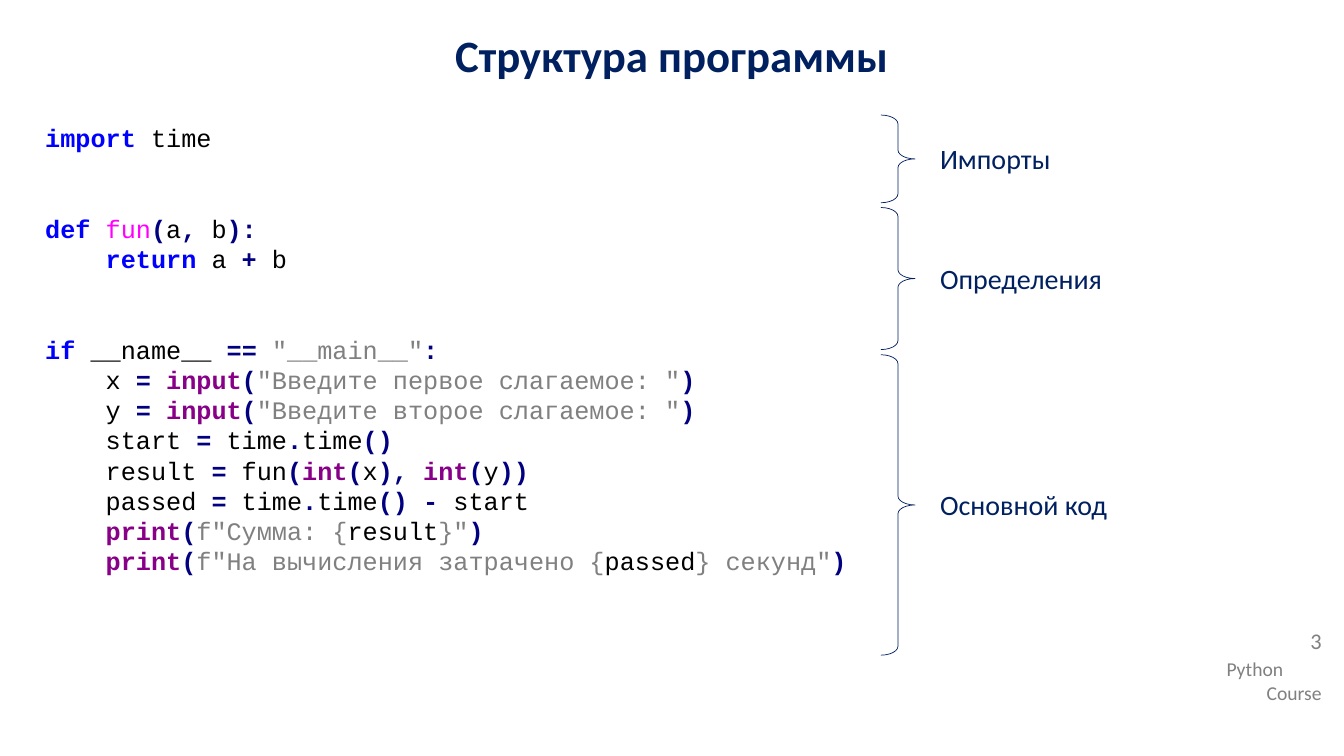
import pptx
import pptx.dml.color
import pptx.enum.shapes
import pptx.enum.text
import pptx.util
from pptx.util import Cm, Pt

COLORS = {
    "navy": "002060",
    "gray": "808080",
    "keyword": "0000FF",
    "function": "FF00FF",
    "builtin": "880088",
    "operator": "000080",
    "string": "808080",
    "plain": "000000",
}
BOLD_TOKENS = {"keyword", "builtin", "operator"}
ALIGN = pptx.enum.text.PP_ALIGN
CODE_SIZE = 18
LINE_HEIGHT = 21.6
INDENT = Pt(4 * 0.6 * CODE_SIZE)  # four monospaced characters


def rgb(name):
    return pptx.dml.color.RGBColor.from_string(COLORS[name])


def add_text(slide, box, lines, size, color, bold=False):
    """Add a text box; box is in centimetres, lines are (text, alignment) pairs."""
    shape = slide.shapes.add_textbox(*(Cm(length) for length in box))
    frame = shape.text_frame
    frame.word_wrap = True
    for index, (text, alignment) in enumerate(lines):
        paragraph = frame.add_paragraph() if index else frame.paragraphs[0]
        paragraph.alignment = alignment
        paragraph.add_run().text = text
        paragraph.font.name = "Calibri"
        paragraph.font.size = Pt(size)
        paragraph.font.bold = bold
        paragraph.font.color.rgb = rgb(color)
    return shape


presentation = pptx.Presentation()
presentation.slide_width = Cm(33.87)
presentation.slide_height = Cm(19.05)
slide = presentation.slides.add_slide(presentation.slide_layouts[6])

# Footer and title
add_text(slide, (30.66, 16.43, 2.9, 1.45),
         [("Python", ALIGN.LEFT), ("Course", ALIGN.RIGHT)], 14, "gray")
page_number = add_text(slide, (30.66, 15.75, 2.9, 1.14), [("3", ALIGN.RIGHT)], 16, "gray")
page_number.text_frame.paragraphs[0].line_spacing = 0.9
add_text(slide, (0, 0.58, 33.87, 1.93),
         [("Структура программы", ALIGN.CENTER)], 32, "navy", bold=True)

# Code listing: blank lines before, indent level, coloured tokens
code_lines = [
    (0, 0, [("keyword", "import"), ("plain", " time")]),
    (2, 0, [("keyword", "def "), ("function", "fun"), ("operator", "("), ("plain", "a"),
            ("operator", ","), ("plain", " b"), ("operator", "):")]),
    (0, 1, [("keyword", "return"), ("plain", " a "), ("operator", "+"), ("plain", " b")]),
    (2, 0, [("keyword", "if"), ("plain", " __name__ "), ("operator", "== "),
            ("string", '"__main__"'), ("operator", ":")]),
    (0, 1, [("plain", "x "), ("operator", "= "), ("builtin", "input"), ("operator", "("),
            ("string", '"Введите первое слагаемое: "'), ("operator", ")")]),
    (0, 1, [("plain", "y "), ("operator", "= "), ("builtin", "input"), ("operator", "("),
            ("string", '"Введите второе слагаемое: "'), ("operator", ")")]),
    (0, 1, [("plain", "start "), ("operator", "="), ("plain", " time"), ("operator", "."),
            ("plain", "time"), ("operator", "()")]),
    (0, 1, [("plain", "result "), ("operator", "="), ("plain", " fun"), ("operator", "("),
            ("builtin", "int"), ("operator", "("), ("plain", "x"), ("operator", "), "),
            ("builtin", "int"), ("operator", "("), ("plain", "y"), ("operator", "))")]),
    (0, 1, [("plain", "passed "), ("operator", "="), ("plain", " time"), ("operator", "."),
            ("plain", "time"), ("operator", "() -"), ("plain", " start")]),
    (0, 1, [("builtin", "print"), ("operator", "("), ("string", 'f"Сумма: {'),
            ("plain", "result"), ("string", '}"'), ("operator", ")")]),
    (0, 1, [("builtin", "print"), ("operator", "("),
            ("string", 'f"На вычисления затрачено {'), ("plain", "passed"),
            ("string", '} секунд"'), ("operator", ")")]),
]
code_box = slide.shapes.add_textbox(Cm(0.89), Cm(2.87), Cm(20.8), Cm(13.94))
code_frame = code_box.text_frame
code_frame.word_wrap = True
code_frame.margin_top = Cm(0.21)
for index, (blank_lines, level, tokens) in enumerate(code_lines):
    paragraph = code_frame.add_paragraph() if index else code_frame.paragraphs[0]
    paragraph.line_spacing = Pt(LINE_HEIGHT)
    paragraph.space_before = Pt(blank_lines * LINE_HEIGHT)
    paragraph.font.name = "Courier New"
    paragraph.font.size = Pt(CODE_SIZE)
    paragraph._p.get_or_add_pPr().set("marL", str(level * INDENT))
    for kind, text in tokens:
        run = paragraph.add_run()
        run.text = text
        run.font.bold = kind in BOLD_TOKENS
        run.font.color.rgb = rgb(kind)

# Braces with their labels, centred on each other
sections = [("Импорты", 2.9, 2.21), ("Определения", 5.23, 3.58), ("Основной код", 8.94, 7.57)]
label_height = 1.12
for label, top, height in sections:
    brace = slide.shapes.add_shape(pptx.enum.shapes.MSO_SHAPE.RIGHT_BRACE,
                                   Cm(22.2), Cm(top), Cm(0.86), Cm(height))
    brace.adjustments[0] = 0.26
    brace.shadow.inherit = False
    brace.fill.background()
    brace.line.color.rgb = rgb("navy")
    brace.line.width = Pt(0.5)
    label_top = top + (height - label_height) / 2
    add_text(slide, (23.44, label_top, 8.94, label_height),
             [(label, ALIGN.JUSTIFY)], 20, "navy")

presentation.save("out.pptx")
